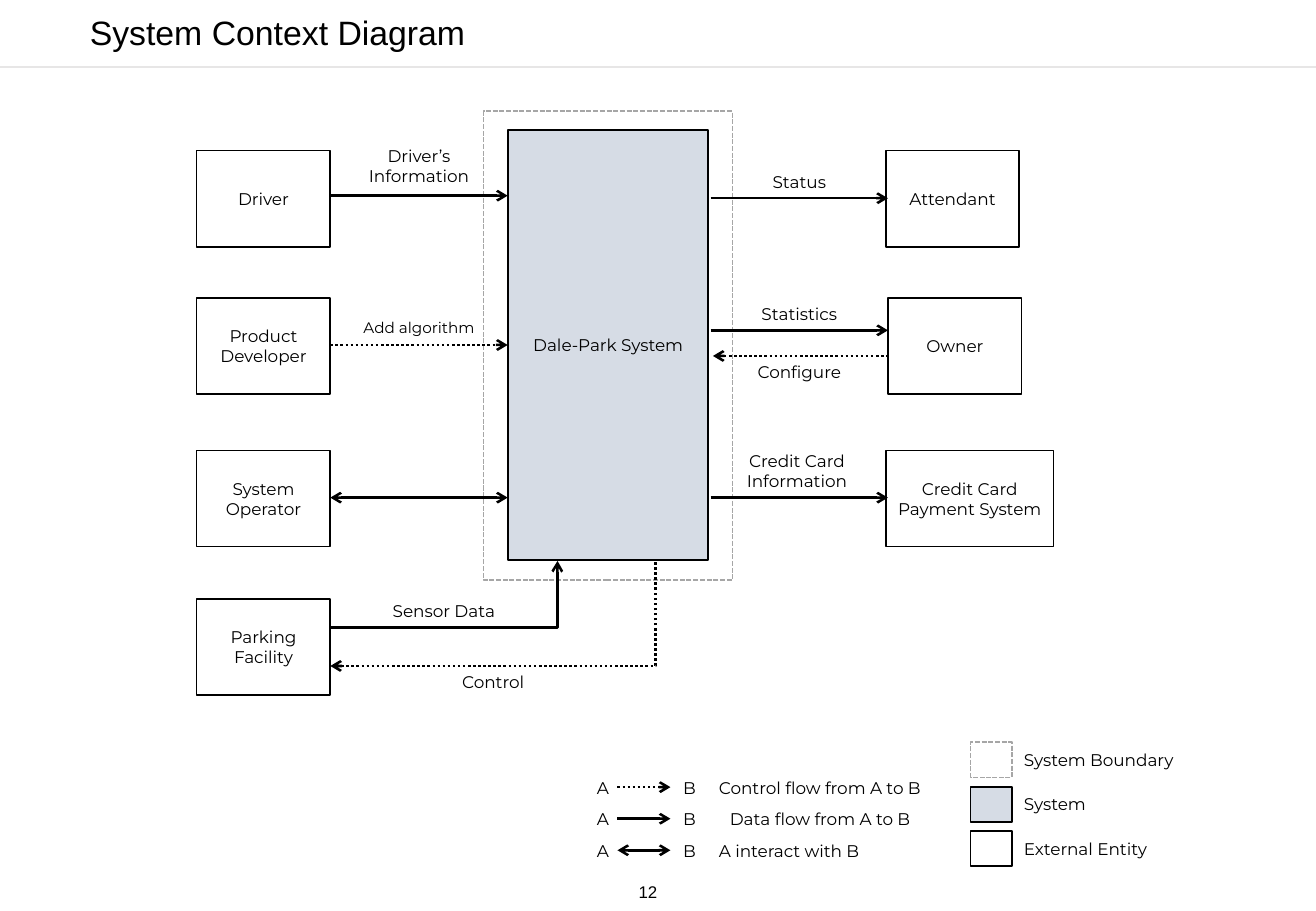
from typing import NamedTuple

from pptx import Presentation
from pptx.dml.color import RGBColor
from pptx.enum.dml import MSO_LINE
from pptx.enum.shapes import MSO_CONNECTOR, MSO_SHAPE
from pptx.enum.text import MSO_ANCHOR, MSO_AUTO_SIZE, PP_ALIGN
from pptx.oxml.ns import qn
from pptx.oxml.xmlchemy import OxmlElement
from pptx.util import Pt

COLORS = {"ink": "000000", "fill": "D6DCE5", "edge": "A6A6A6", "rule": "E7E6E6"}
FONT = "Montserrat"


class Box(NamedTuple):
    text: str
    x: float
    y: float
    w: float = 79.2
    h: float = 57
    fill: str = ""
    line: str = "ink"
    dash: bool = False


class Label(NamedTuple):
    text: str
    x: float
    y: float
    w: float
    h: float = 19.4
    size: float = 10
    align: PP_ALIGN = PP_ALIGN.CENTER
    font: str = FONT


class Arrow(NamedTuple):
    x1: float
    y1: float
    x2: float
    y2: float
    dots: bool = False
    head: bool = False
    tail: bool = True
    bent: bool = False
    color: str = "ink"
    width: float = 1.5


def paint(name: str) -> RGBColor:
    return RGBColor.from_string(COLORS[name])


def style(frame, size: float, align: PP_ALIGN, font: str) -> None:
    for par in frame.paragraphs:
        par.alignment = align
        for run in par.runs:
            run.font.size = Pt(size)
            run.font.name = font
            run.font.color.rgb = paint("ink")


def draw_box(slide, box: Box) -> None:
    shape = slide.shapes.add_shape(
        MSO_SHAPE.RECTANGLE, Pt(box.x), Pt(box.y), Pt(box.w), Pt(box.h))
    shape.shadow.inherit = False
    if box.fill:
        shape.fill.solid()
        shape.fill.fore_color.rgb = paint(box.fill)
    else:
        shape.fill.background()
    shape.line.color.rgb = paint(box.line)
    shape.line.width = Pt(1)
    if box.dash:
        shape.line.dash_style = MSO_LINE.SQUARE_DOT
    if box.text:
        frame = shape.text_frame
        frame.text = box.text
        frame.word_wrap = True
        frame.vertical_anchor = MSO_ANCHOR.MIDDLE
        style(frame, 10, PP_ALIGN.CENTER, FONT)


def draw_label(slide, label: Label) -> None:
    frame = slide.shapes.add_textbox(
        Pt(label.x), Pt(label.y), Pt(label.w), Pt(label.h)).text_frame
    frame.text = label.text
    frame.word_wrap = True
    style(frame, label.size, label.align, label.font)


def draw_arrow(slide, arrow: Arrow) -> None:
    kind = MSO_CONNECTOR.ELBOW if arrow.bent else MSO_CONNECTOR.STRAIGHT
    link = slide.shapes.add_connector(
        kind, Pt(arrow.x1), Pt(arrow.y1), Pt(arrow.x2), Pt(arrow.y2))
    link.line.color.rgb = paint(arrow.color)
    link.line.width = Pt(arrow.width)
    if arrow.dots:
        link.line.dash_style = MSO_LINE.ROUND_DOT
    props = link._element.spPr
    for tag, shown in (("a:headEnd", arrow.head), ("a:tailEnd", arrow.tail)):
        if shown:
            end = OxmlElement(tag)
            end.set("type", "arrow")
            props.find(qn("a:ln")).append(end)
    props.append(OxmlElement("a:effectLst"))
    if arrow.bent:  # run level to the far end, then turn
        guide = OxmlElement("a:gd")
        guide.set("name", "adj1")
        guide.set("fmla", "val 99900")
        props.find(qn("a:prstGeom")).get_or_add_avLst().append(guide)


deck = Presentation()
deck.slide_width, deck.slide_height = Pt(780), Pt(540)
slide = deck.slides.add_slide(deck.slide_layouts[5])

# Title, rule and page number
title = slide.shapes.title
title.left, title.top, title.width, title.height = Pt(10), Pt(3.6), Pt(754), Pt(36)
frame = title.text_frame
frame.text = "System Context Diagram"
frame.auto_size = MSO_AUTO_SIZE.NONE
frame.vertical_anchor = MSO_ANCHOR.TOP
frame.margin_left = Pt(43.2)
style(frame, 20, PP_ALIGN.LEFT, "Arial")
draw_arrow(slide, Arrow(0, 39.6, 780, 39.6, tail=False, color="rule", width=1))
draw_label(slide, Label("12", 369, 519, 30, font="Arial"))

# System and outer parties
LEFT, RIGHT = 116.6, 525
ROWS = (89.3, 176.5, 267, 355)
boxes = [
    Box("", 286.6, 66, 147.6, 278, line="edge", dash=True),
    Box("Dale-Park System", 301, 77, 118.8, 255, fill="fill"),
    Box("Attendant", RIGHT, ROWS[0]),
    Box("Owner", RIGHT + 1.4, ROWS[1]),
    Box("Credit Card\vPayment System", RIGHT, ROWS[2], w=99.4),
]
names = ("Driver", "Product Developer", "System Operator", "Parking\vFacility")
boxes += [Box(name, LEFT, y) for name, y in zip(names, ROWS)]

# Flows
IN, OUT, SPAN = 195.8, 421.2, 105.1
arrows = [
    Arrow(IN, 116, IN + SPAN, 116),
    Arrow(IN, 204.5, IN + SPAN, 204.5, dots=True),
    Arrow(IN, 295, IN + SPAN, 295, head=True),
    Arrow(OUT, 117.5, OUT + SPAN, 117.5),
    Arrow(OUT, 195.8, OUT + SPAN, 195.8),
    Arrow(OUT + 1.4, 211, OUT + SPAN, 211, dots=True, head=True, tail=False),
    Arrow(OUT, 295, OUT + SPAN, 295),
    Arrow(IN, 372, 330.5, 332.5, bent=True),
    Arrow(IN, 394.8, 388.8, 332.5, dots=True, head=True, tail=False, bent=True),
]
labels = [
    Label("Driver’s Information", IN, 82.8, SPAN, 31.7),
    Label("Add algorithm", IN, 185, SPAN, 18, size=9),
    Label("Status", OUT, 98.5, SPAN),
    Label("Statistics", OUT, 176.5, SPAN),
    Label("Configure", OUT, 211, SPAN),
    Label("Credit Card\vInformation", OUT - 1.4, 263.5, SPAN, 31.7),
    Label("Sensor Data", IN, 352.6, 134.6),
    Label("Control", IN, 394.6, 193),
]

# Legend of flows
flows = (
    ("Control flow from A to B", PP_ALIGN.LEFT, 150.5, True, False),
    ("Data flow from A to B", PP_ALIGN.CENTER, 134, False, False),
    ("A interact with B", PP_ALIGN.LEFT, 134, False, True),
)
for row, (text, align, width, dots, head) in enumerate(flows):
    y = 466.6 + 18.7 * row
    arrows.append(Arrow(366, y, 397.4, y, dots=dots, head=head))
    labels += [
        Label("A", 343.4, y - 9.4, 28),
        Label("B", 394.6, y - 9.4, 28),
        Label(text, 419, y - 9.4, width, align=align),
    ]

# Legend of boxes
keys = (("System Boundary", "", "edge", True), ("System", "fill", "ink", False),
        ("External Entity", "", "ink", False))
for row, (text, fill, line, dash) in enumerate(keys):
    y = 440 + 26.3 * row
    boxes.append(Box("", 575.3, y, 24.5, 20.9, fill, line, dash))
    labels.append(Label(text, 599.8, y + 0.8, 113, align=PP_ALIGN.LEFT))

for box in boxes:
    draw_box(slide, box)
for arrow in arrows:
    draw_arrow(slide, arrow)
for label in labels:
    draw_label(slide, label)

deck.save("out.pptx")
